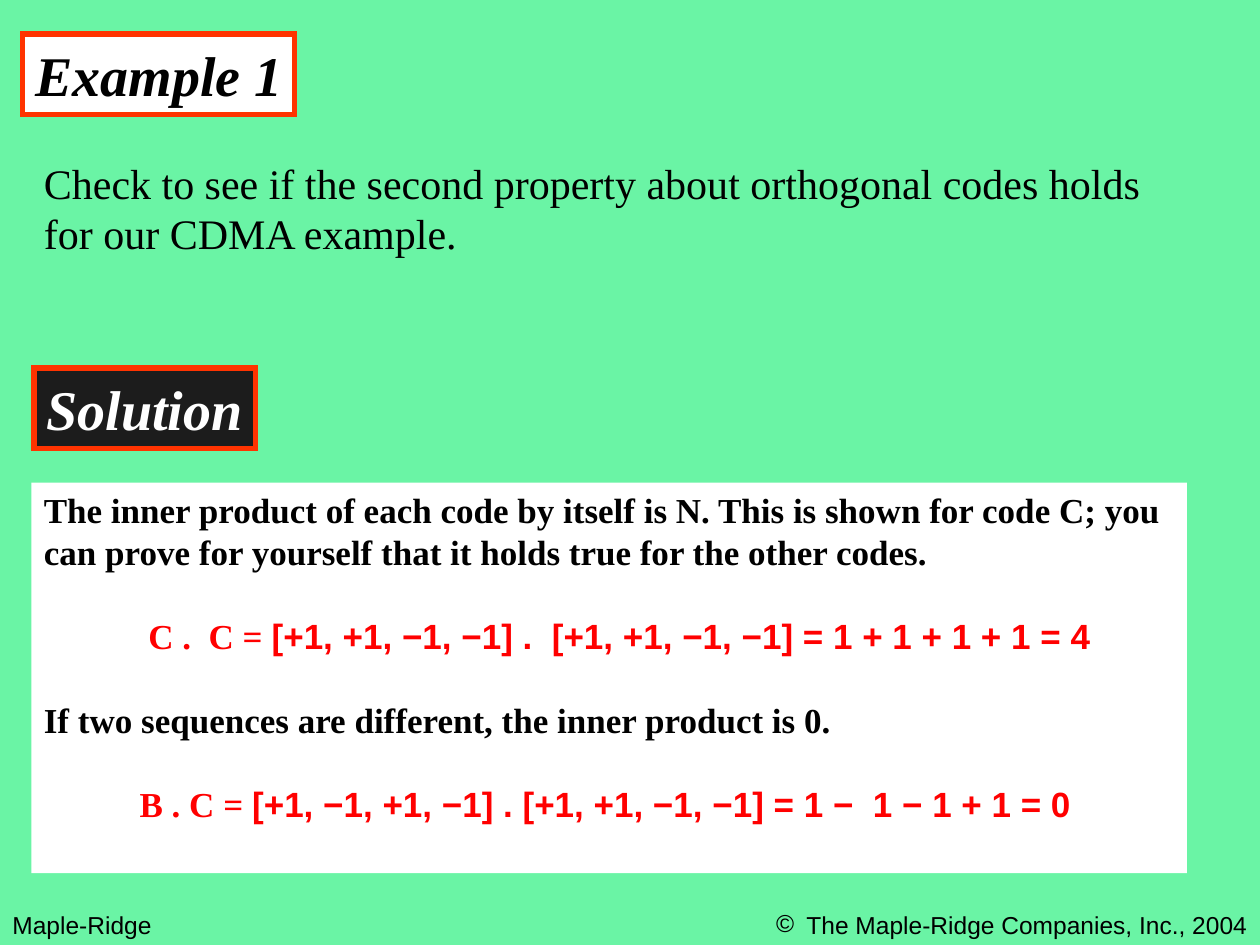
from lxml import etree
from pptx import Presentation
from pptx.dml.color import RGBColor
from pptx.enum.shapes import MSO_SHAPE
from pptx.enum.text import MSO_ANCHOR, MSO_AUTO_SIZE, PP_ALIGN
from pptx.oxml.ns import qn
from pptx.util import Inches, Pt

RECT = MSO_SHAPE.RECTANGLE
TOP, NO_FIT = MSO_ANCHOR.TOP, MSO_AUTO_SIZE.NONE
LEFT, RIGHT = PP_ALIGN.LEFT, PP_ALIGN.RIGHT
SERIF, SANS = "Times New Roman", "Arial"
BLACK, WHITE, RED, ORANGE = "000000", "FFFFFF", "FF0000", "FF3300"

prs = Presentation()
prs.slide_width, prs.slide_height = Inches(10), Inches(7.5)
COL, ROW = prs.slide_width / 100, prs.slide_height / 75


def rgb(value):
    return RGBColor.from_string(value)


def write(sp, grid, paragraphs, size, font=SERIF, color=BLACK, bold=False, italic=False):
    """Place a shape on the grid and fill it; a paragraph is a list of runs."""
    x, y, w, h = grid
    sp.left, sp.top = round(x * COL), round(y * ROW)
    sp.width, sp.height = round(w * COL), round(h * ROW)
    tf = sp.text_frame
    tf.auto_size, tf.word_wrap, tf.vertical_anchor = NO_FIT, True, TOP
    for i, runs in enumerate(paragraphs):
        p = tf.add_paragraph() if i else tf.paragraphs[0]
        p.alignment = LEFT
        p.line_spacing = Pt(1.2 * size)
        f = p.font
        f.name, f.size, f.bold, f.italic = font, Pt(size), bold, italic
        f.color.rgb = rgb(color)
        for text in runs:
            p.add_run().text = text
    return tf


s = prs.slides.add_slide(prs.slide_layouts[5])
s.background.fill.solid()
s.background.fill.fore_color.rgb = rgb("6AF4A5")

# Footer
write(s.shapes.add_textbox(0, 0, 0, 0), (0, 71.7, 24.2, 3.4), [["Maple-Ridge"]], 14, SANS)
tf = write(s.shapes.add_textbox(0, 0, 0, 0), (50, 71.7, 50, 3.4),
           [["The Maple-Ridge Companies, Inc., 2004"]], 14, SANS)
p = tf.paragraphs[0]
p.alignment = RIGHT
pPr = p._p.get_or_add_pPr()
pPr.set("marL", str(Inches(0.24)))
pPr.set("indent", str(-Inches(0.24)))
defaults = pPr.find(qn("a:defRPr"))
defaults.addprevious(etree.Element(qn("a:buFont"), typeface=SANS))
defaults.addprevious(etree.Element(qn("a:buChar"), char="©"))

# Heading boxes
solution = s.shapes.add_shape(RECT, 0, 0, 0, 0)
solution.shadow.inherit = False
for sp, grid, text, fill, color in [
    (s.shapes.title, (1.8, 2.7, 21.6, 6.4), "Example 1", WHITE, BLACK),
    (solution, (2.7, 29.2, 17.6, 6.4), "Solution", "1C1C1C", WHITE),
]:
    tf = write(sp, grid, [[text]], 32, color=color, bold=True, italic=True)
    tf.margin_right = 0  # keeps the heading on one line
    sp.fill.solid()
    sp.fill.fore_color.rgb = rgb(fill)
    sp.line.color.rgb = rgb(ORANGE)
    sp.line.width = Pt(3)
    ln = sp._element.spPr.find(qn("a:ln"))
    etree.SubElement(ln, qn("a:miter"), lim="800000")

# Question
write(s.shapes.add_textbox(0, 0, 0, 0), (2.5, 12, 92.5, 9),
      [["Check to see if the second property about orthogonal codes holds for our CDMA example."]], 24)

# Answer
answer = s.shapes.add_shape(RECT, 0, 0, 0, 0)
answer.shadow.inherit = False
answer.fill.solid()
answer.fill.fore_color.rgb = rgb(WHITE)
answer.line.fill.background()
tf = write(answer, (2.5, 38.3, 91.7, 31), [
    ["The inner product of each code by itself is N. This is shown for code C; "
     "you can prove for yourself that it holds true for the other codes."],
    ["C .  C = ", "[+1, +1, −1, −1] .  [+1, +1, −1, −1] = 1 + 1 + 1 + 1 = 4"],
    ["If two sequences are different, the inner product is 0."],
    ["B . C = ", "[+1, −1, +1, −1] . [+1, +1, −1, −1] = 1 −  1 − 1 + 1 = 0"],
], 20, bold=True)
for p in tf.paragraphs[1:]:
    p.space_before = Pt(24)
for p, indent in zip(tf.paragraphs[1::2], (0.83, 0.76)):
    p.font.color.rgb = rgb(RED)
    p._p.get_or_add_pPr().set("marL", str(Inches(indent)))
    p.runs[1].font.name = SANS

prs.save("out.pptx")
